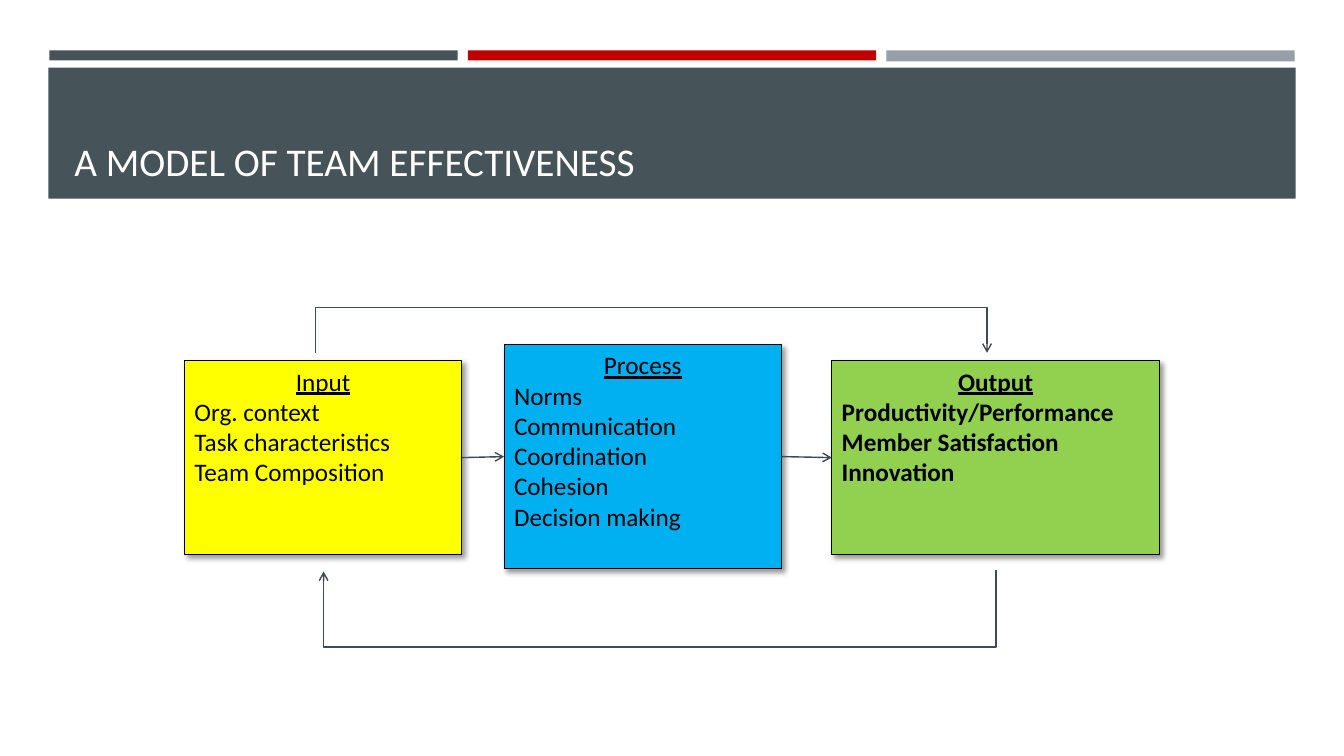
from dataclasses import dataclass

from lxml.etree import SubElement
from pptx import Presentation
from pptx.dml.color import RGBColor
from pptx.enum.shapes import MSO_CONNECTOR as Connector, MSO_SHAPE as Shape
from pptx.enum.text import MSO_ANCHOR as Anchor, PP_ALIGN as Align
from pptx.oxml.ns import qn
from pptx.shapes.autoshape import Shape as AutoShape
from pptx.shapes.base import BaseShape
from pptx.slide import Slide
from pptx.util import Emu, Pt

FONT = "Calibri"
EMU_PER_PX = 9144

SLATE = RGBColor(0x46, 0x53, 0x59)
RED = RGBColor(0xC0, 0x00, 0x00)
GREY = RGBColor(0x96, 0x9F, 0xA7)
ARROW = RGBColor(0x3F, 0x4B, 0x50)
YELLOW = RGBColor(0xFF, 0xFF, 0x00)
BLUE = RGBColor(0x00, 0xB0, 0xF0)
GREEN = RGBColor(0x92, 0xD0, 0x50)
BLACK = RGBColor(0x00, 0x00, 0x00)
WHITE = RGBColor(0xFF, 0xFF, 0xFF)


@dataclass(frozen=True)
class Box:
    left: int
    top: int
    width: int
    height: int

    @property
    def right(self) -> int:
        return self.left + self.width

    @property
    def middle(self) -> int:
        return self.top + self.height // 2


@dataclass(frozen=True)
class Band:
    box: Box
    color: RGBColor


@dataclass(frozen=True)
class Stage:
    box: Box
    color: RGBColor
    heading: str
    factors: tuple[str, ...]
    bold: bool = False


BANDS = (
    Band(Box(49, 50, 405, 10), SLATE),
    Band(Box(464, 50, 405, 10), RED),
    Band(Box(879, 50, 405, 11), GREY),
    Band(Box(48, 67, 1237, 130), SLATE),
)

STAGES = (
    Stage(Box(183, 358, 275, 192), YELLOW, "Input",
          ("Org. context", "Task characteristics", "Team Composition")),
    Stage(Box(500, 342, 275, 222), BLUE, "Process",
          ("Norms", "Communication", "Coordination", "Cohesion", "Decision making")),
    Stage(Box(825, 358, 325, 192), GREEN, "Output",
          ("Productivity/Performance", "Member Satisfaction", "Innovation"), bold=True),
)

LOOPS = (
    ((313, 350), (313, 305), (979, 305), (979, 350)),
    ((988, 566), (988, 642), (321, 642), (321, 567)),
)


def px(length: int) -> Emu:
    return Emu(length * EMU_PER_PX)


def add_rectangle(slide: Slide, box: Box, color: RGBColor) -> AutoShape:
    rectangle = slide.shapes.add_shape(
        Shape.RECTANGLE, px(box.left), px(box.top), px(box.width), px(box.height))
    rectangle.shadow.inherit = False
    rectangle.fill.solid()
    rectangle.fill.fore_color.rgb = color
    rectangle.line.fill.background()
    return rectangle


def add_title(slide: Slide, box: Box, wording: str) -> None:
    title = slide.shapes.add_textbox(
        px(box.left), px(box.top), px(box.width), px(box.height))
    frame = title.text_frame
    frame.word_wrap = True
    frame.vertical_anchor = Anchor.BOTTOM
    frame.text = wording
    font = frame.paragraphs[0].font
    font.name, font.size, font.color.rgb = FONT, Pt(28), WHITE


def cast_shadow(shape: BaseShape) -> None:
    effects = shape._element.spPr.find(qn("a:effectLst"))
    shadow = SubElement(effects, qn("a:outerShdw"), blurRad=str(Pt(4)), dist=str(Pt(3)),
                        dir="2700000", algn="tl", rotWithShape="0")
    tint = SubElement(shadow, qn("a:srgbClr"), val=str(BLACK))
    SubElement(tint, qn("a:alpha"), val="40000")


def add_stage(slide: Slide, stage: Stage) -> None:
    card = add_rectangle(slide, stage.box, stage.color)
    card.line.color.rgb = BLACK
    card.line.width = Pt(0.75)
    cast_shadow(card)
    frame = card.text_frame
    frame.word_wrap = True
    frame.vertical_anchor = Anchor.TOP
    frame.text = "\n".join((stage.heading, *stage.factors))
    for paragraph in frame.paragraphs:
        paragraph.alignment = Align.LEFT
        font = paragraph.font
        font.name, font.size, font.bold = FONT, Pt(18), stage.bold
        font.color.rgb = BLACK
    heading = frame.paragraphs[0]
    heading.alignment = Align.CENTER
    heading.font.underline = True


def style_arrow(arrow: BaseShape) -> None:
    arrow.line.color.rgb = ARROW
    arrow.line.width = Pt(1)
    SubElement(arrow._element.spPr.find(qn("a:ln")), qn("a:tailEnd"), type="arrow")


def add_step(slide: Slide, source: Box, target: Box) -> None:
    step = slide.shapes.add_connector(
        Connector.STRAIGHT, px(source.right), px(source.middle),
        px(target.left), px(target.middle))
    style_arrow(step)
    SubElement(step._element.spPr, qn("a:effectLst"))


def add_loop(slide: Slide, points: tuple[tuple[int, int], ...]) -> None:
    start, *corners = points
    builder = slide.shapes.build_freeform(*start, scale=EMU_PER_PX)
    builder.add_line_segments(corners, close=False)
    loop = builder.convert_to_shape()
    loop.shadow.inherit = False
    loop.fill.background()
    style_arrow(loop)


def main() -> None:
    deck = Presentation()
    deck.slide_width, deck.slide_height = px(1333), px(750)
    slide = deck.slides.add_slide(deck.slide_layouts[6])
    for band in BANDS:
        add_rectangle(slide, band.box, band.color)
    add_title(slide, Box(64, 77, 1206, 111), "A MODEL OF TEAM EFFECTIVENESS")
    for stage in STAGES:
        add_stage(slide, stage)
    for source, target in zip(STAGES, STAGES[1:]):
        add_step(slide, source.box, target.box)
    for points in LOOPS:
        add_loop(slide, points)
    deck.save("out.pptx")


if __name__ == "__main__":
    main()
